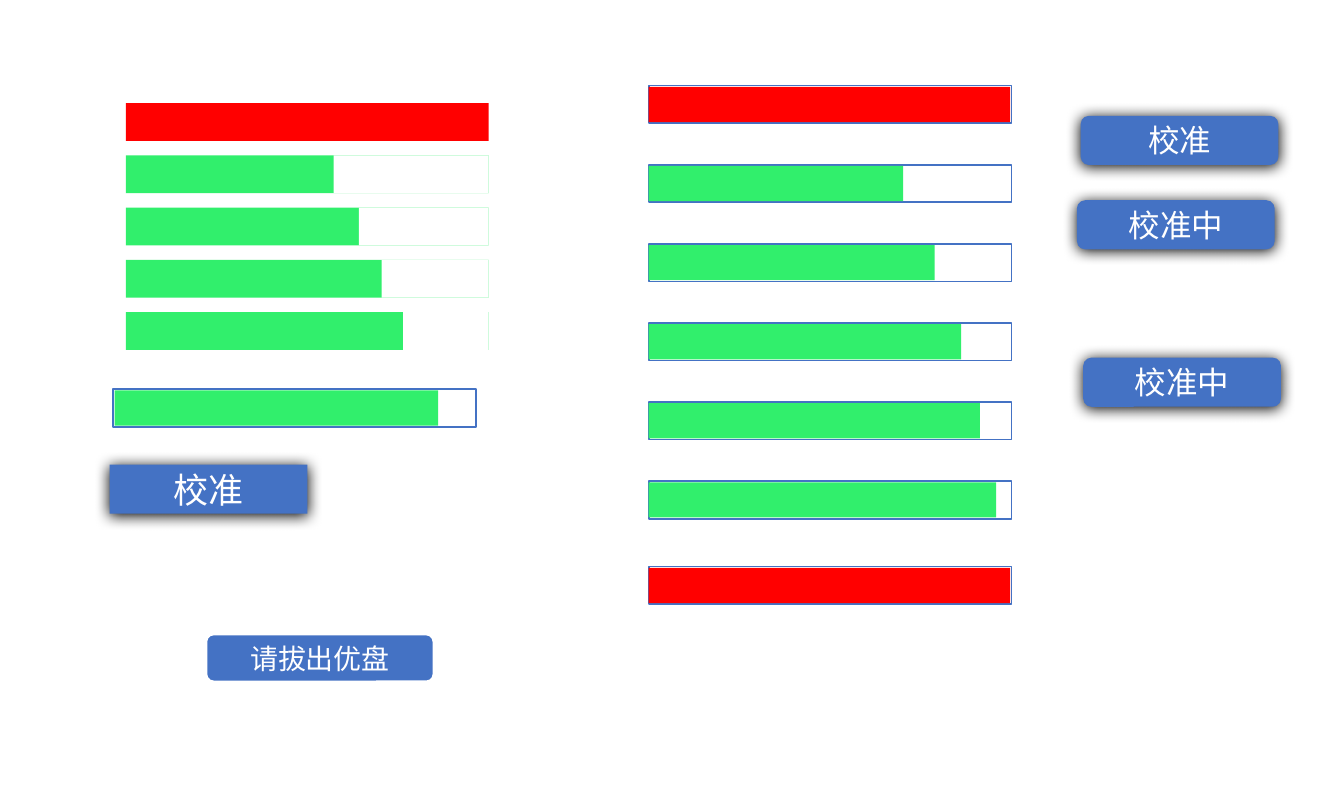
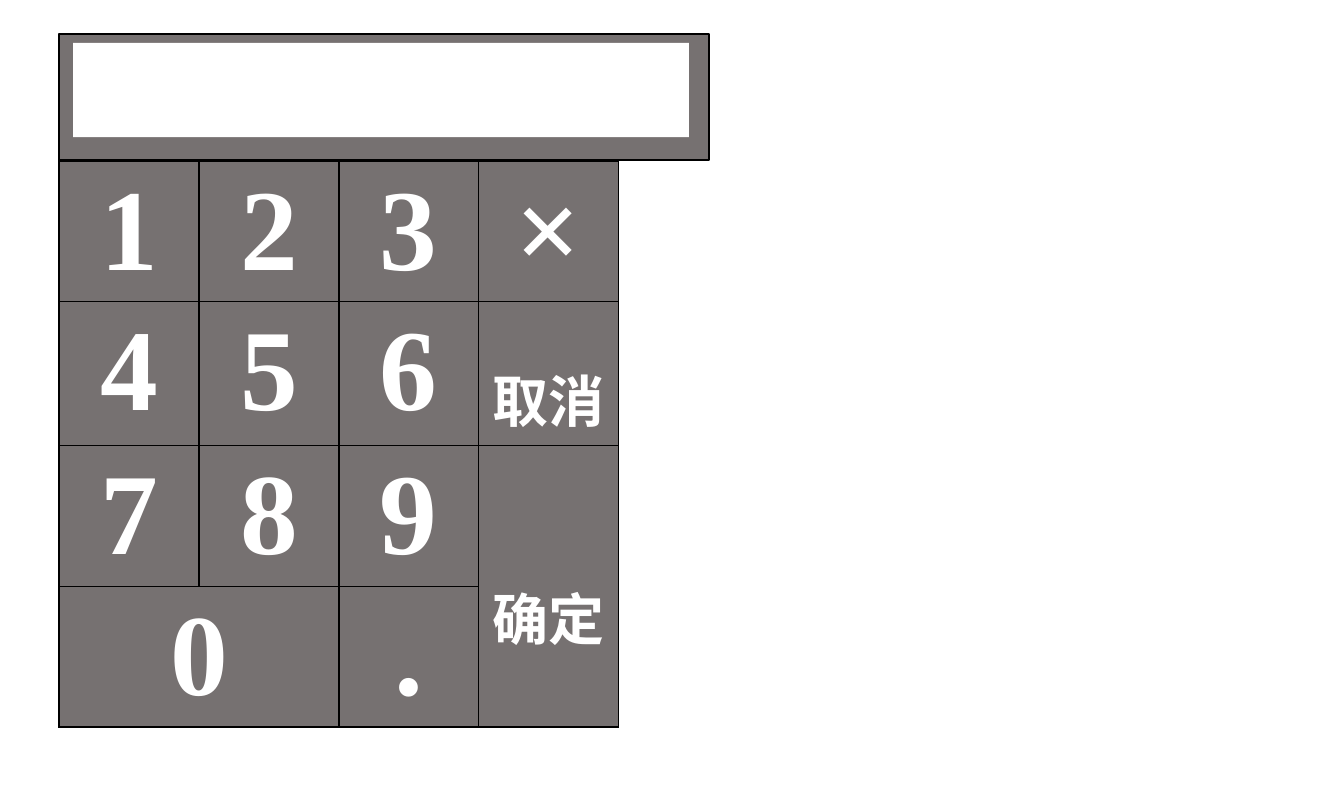
from dataclasses import dataclass

from lxml import etree
from pptx import Presentation
from pptx.dml.color import RGBColor
from pptx.enum.shapes import MSO_SHAPE
from pptx.enum.text import MSO_ANCHOR, PP_ALIGN
from pptx.oxml import parse_xml
from pptx.oxml.ns import nsdecls, qn
from pptx.util import Inches, Pt

RECT, ROUND = MSO_SHAPE.RECTANGLE, MSO_SHAPE.ROUNDED_RECTANGLE
CENTER, MIDDLE = PP_ALIGN.CENTER, MSO_ANCHOR.MIDDLE


@dataclass(frozen=True)
class Theme:
    blue: str = "4472C4"
    green: str = "31EF6C"
    red: str = "FF0000"
    gray: str = "767171"
    white: str = "FFFFFF"
    black: str = "000000"
    latin: str = "Calibri"
    cjk: str = "Noto Sans CJK SC"
    serif: str = "Times New Roman"
    notice: int = 16
    label: int = 18
    large: int = 20
    word: int = 32
    digit: int = 66


T = Theme()
BAR_W, BAR_H = 2.88, 0.3


# Text and shapes
def write(tf, text, size, font=T.latin, east=T.cjk, bold=False):
    p = tf.paragraphs[0]
    p.alignment = CENTER
    r = p.add_run()
    r.text = text
    r.font.size, r.font.name, r.font.bold = Pt(size), font, bold
    r.font.color.rgb = RGBColor.from_string(T.white)
    etree.SubElement(r.font._element, qn("a:ea")).set("typeface", east)
    return p


def box(shapes, x, y, w, h, fill, kind=RECT, line=None, weight=1):
    sp = shapes.add_shape(kind, Inches(x), Inches(y), Inches(w), Inches(h))
    sp.shadow.inherit = False
    sp.fill.solid()
    sp.fill.fore_color.rgb = RGBColor.from_string(fill)
    if line:
        sp.line.color.rgb = RGBColor.from_string(line)
        sp.line.width = Pt(weight)
    else:
        sp.line.fill.background()
    return sp


def add_shadow(sp):
    effects = sp._element.spPr.find(qn("a:effectLst"))
    effects.append(parse_xml(
        f'<a:outerShdw {nsdecls("a")} blurRad="{Pt(8.5)}" dist="{Pt(1)}" '
        f'dir="5400000" algn="t" rotWithShape="0">'
        f'<a:srgbClr val="{T.black}"/></a:outerShdw>'))


def button(s, text, x, y, w=1.57, h=0.39, kind=ROUND, size=T.label,
           font=T.latin, line=None, shadow=True):
    sp = box(s.shapes, x, y, w, h, T.blue, kind, line, 2.25)
    if shadow:
        add_shadow(sp)
    sp.text_frame.vertical_anchor = MIDDLE
    write(sp.text_frame, text, size, font)


# Progress bars
def plain_bar(s, x, y, done):
    shapes = s.shapes.add_group_shape().shapes
    box(shapes, x, y, BAR_W, BAR_H, T.green)
    box(shapes, x + done, y, BAR_W - done, BAR_H, T.white)


def framed_bar(s, x, y, done, color=T.green, inset=0.0):
    shapes = s.shapes.add_group_shape().shapes
    box(shapes, x, y, BAR_W, BAR_H, T.white, line=T.blue)
    box(shapes, x + inset, y + 0.01, done, BAR_H - 0.02, color)


# Keypad cells
def style_cell(cell):
    cell.fill.solid()
    cell.fill.fore_color.rgb = RGBColor.from_string(T.gray)
    tc_pr = cell._tc.get_or_add_tcPr()
    for i, side in enumerate("LRTB"):
        tc_pr.insert(i, parse_xml(
            f'<a:ln{side} {nsdecls("a")} w="{Pt(1)}"><a:solidFill>'
            f'<a:srgbClr val="{T.black}"/></a:solidFill></a:ln{side}>'))


def keypad(s, x, y):
    keys = ["123×", ["4", "5", "6", "取消"], ["7", "8", "9", "确定"],
            ["0", "", ".", ""]]
    heights = [1.11, 1.14, 1.12, 1.11]
    width = 1.11
    frame = s.shapes.add_table(4, 4, Inches(x), Inches(y),
                               Inches(4 * width), Inches(sum(heights)))
    tbl = frame.table
    for col in tbl.columns:
        col.width = Inches(width)
    for row, height in zip(tbl.rows, heights):
        row.height = Inches(height)
    tbl.cell(2, 3).merge(tbl.cell(3, 3))
    tbl.cell(3, 0).merge(tbl.cell(3, 1))
    for i, row in enumerate(keys):
        for j, key in enumerate(row):
            cell = tbl.cell(i, j)
            style_cell(cell)
            if len(key) > 1:
                write(cell.text_frame, key, T.word, T.serif, bold=True)
            elif key:
                write(cell.text_frame, key, T.digit, T.serif, T.serif, True)
    cancel = tbl.cell(1, 3).text_frame.paragraphs[0]
    cancel.line_spacing, cancel.space_before = Pt(75), Pt(30)
    tbl.cell(2, 3).margin_top = Inches(1.03)


# Slides
def calibration_slide(s):
    left, top, step = 1, 0.82, (2.48 - 0.82) / 4
    box(s.shapes, left, top, BAR_W, BAR_H, T.red)
    for i, done in enumerate([1.65, 1.85, 2.03, 2.2], 1):
        plain_bar(s, left, top + i * step, done)
    framed_bar(s, 0.9, 3.09, 2.57, inset=0.01)

    right, top, step = 5.15, 0.68, (3.82 - 0.68) / 5
    framed_bar(s, right, top, 2.87, T.red)
    for i, done in enumerate([2.02, 2.27, 2.48, 2.63, 2.76], 1):
        framed_bar(s, right, top + i * step, done)
    framed_bar(s, right, 4.5, 2.87, T.red)

    button(s, "请拔出优盘", 1.63, 5.03, w=1.82, size=T.notice, font=T.cjk,
           line=T.white, shadow=False)
    button(s, "校准", 0.87, 3.69, kind=RECT, size=T.large, font=T.cjk)
    button(s, "校准中", 8.55, 1.59)
    button(s, "校准", 8.58, 0.92)
    button(s, "校准中", 8.6, 2.84)


def keypad_slide(s):
    keypad(s, 0.47, 1.28)
    box(s.shapes, 0.47, 0.27, 5.16, 1, T.gray, line=T.black)
    box(s.shapes, 0.58, 0.34, 4.89, 0.75, T.white)


def main():
    prs = Presentation()
    prs.slide_width, prs.slide_height = Inches(10.67), Inches(6.25)
    for build in (calibration_slide, keypad_slide):
        build(prs.slides.add_slide(prs.slide_layouts[6]))
    prs.save("out.pptx")


main()
